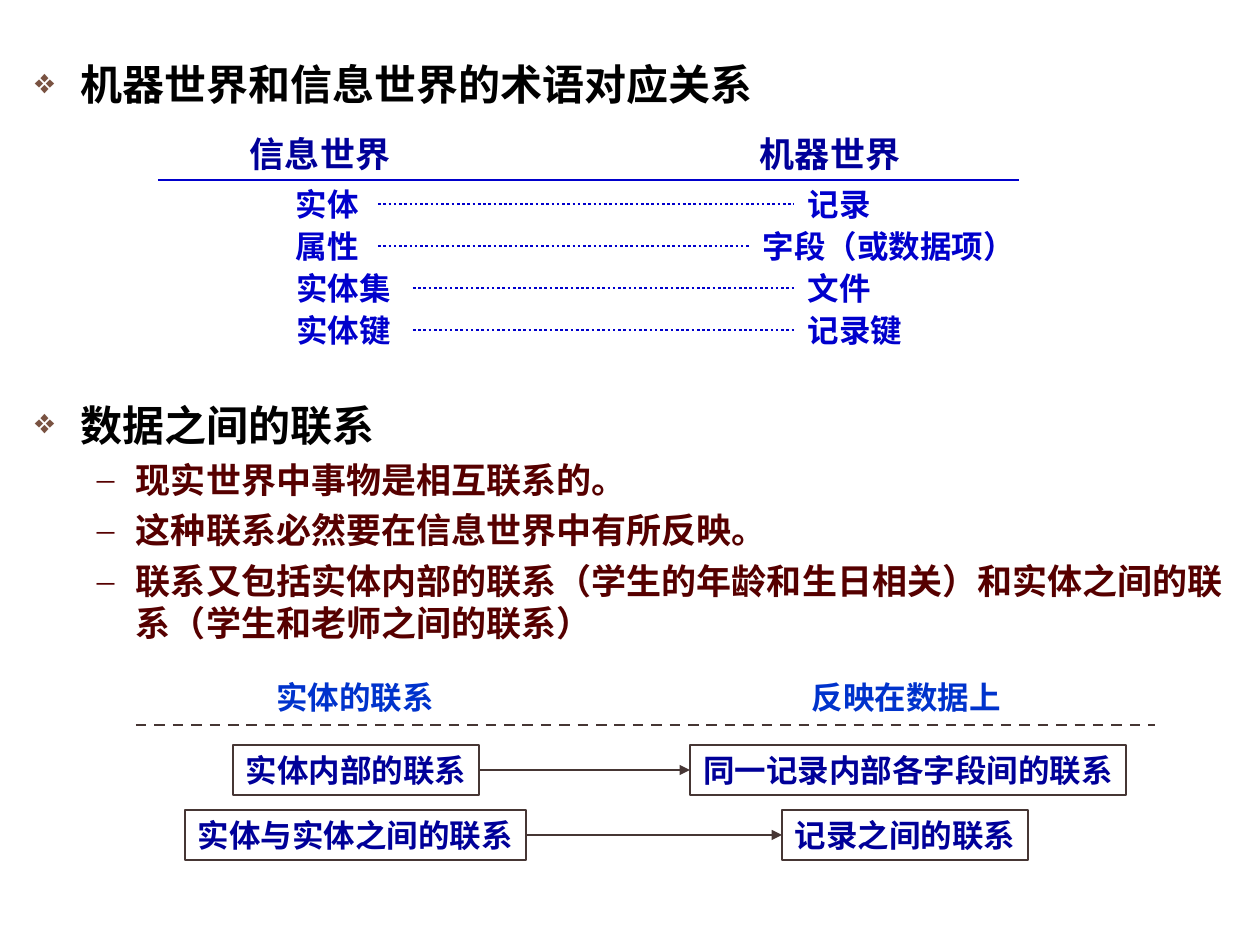
import lxml.etree
import pptx
import pptx.dml.color
import pptx.enum.dml
import pptx.enum.shapes
import pptx.enum.text
import pptx.oxml.ns
import pptx.util

RGB = pptx.dml.color.RGBColor
BLACK = RGB(0x00, 0x00, 0x00)
MAROON = RGB(0x56, 0x00, 0x00)
BROWN = RGB(0x79, 0x52, 0x41)
NAVY = RGB(0x00, 0x00, 0x99)
BLUE = RGB(0x00, 0x00, 0xCC)
AZURE = RGB(0x00, 0x33, 0xCC)
GREY = RGB(0x46, 0x36, 0x34)
DASH = pptx.enum.dml.MSO_LINE
RIGHT, LEFT = 3, 1
PX_PER_INCH = 126
PX_PER_PT = PX_PER_INCH / 72

# size, colour, bullet, bullet percent, bullet colour, left margin, hanging indent, space before
HEADING = (24, BLACK, "❖", 65, BROWN, 47, 47, 6)
POINT = (20, MAROON, "–", 100, MAROON, 102, 39, 5)


def px(n):
    return pptx.util.Emu(round(n * 914400 / PX_PER_INCH))


def add_xml(parent, tag, **attrs):
    return lxml.etree.SubElement(parent, pptx.oxml.ns.qn(tag), attrs)


class SlideBuilder:
    font = "Times New Roman"
    pad_x, pad_y = 13, 6
    pad_right = 2  # narrower than the left, so a label never wraps

    def __init__(self, prs):
        self.s = prs.slides.add_slide(prs.slide_layouts[6])

    def frame(self, sp, wrap, pad_right):
        tf = sp.text_frame
        values = {
            "margin_left": px(self.pad_x), "margin_right": px(pad_right),
            "margin_top": px(self.pad_y), "margin_bottom": px(self.pad_y),
            "word_wrap": wrap, "vertical_anchor": pptx.enum.text.MSO_ANCHOR.TOP,
            "auto_size": pptx.enum.text.MSO_AUTO_SIZE.NONE,
        }
        for name, value in values.items():
            setattr(tf, name, value)
        return tf

    def run(self, p, text, size, colour):
        r = p.add_run()
        r.text = text
        values = {"name": self.font, "size": pptx.util.Pt(size), "bold": True}
        for name, value in values.items():
            setattr(r.font, name, value)
        r.font.color.rgb = colour

    def bullets(self, x, y, w, h, items):
        sp = self.s.shapes.add_textbox(px(x), px(y), px(w), px(h))
        tf = self.frame(sp, True, self.pad_x)
        for i, (text, style) in enumerate(items):
            size, colour, char, percent, char_colour, margin, hang, before = style
            p = tf.paragraphs[0] if i == 0 else tf.add_paragraph()
            if i:
                p.space_before = pptx.util.Pt(before)
            pPr = p._p.get_or_add_pPr()
            pPr.set("marL", str(px(margin)))
            pPr.set("indent", str(-px(hang)))
            add_xml(add_xml(pPr, "a:buClr"), "a:srgbClr", val=str(char_colour))
            add_xml(pPr, "a:buSzPct", val=str(percent * 1000))
            add_xml(pPr, "a:buFont", typeface=self.font)
            add_xml(pPr, "a:buChar", char=char)
            self.run(p, text, size, colour)

    def label(self, x, y, text, size, colour, boxed=False):
        """One line of text in a box as wide as its full-width characters."""
        w = round(2 * self.pad_x + len(text) * size * PX_PER_PT)
        h = round(2 * self.pad_y + 1.2 * size * PX_PER_PT)
        place = (px(x), px(y), px(w), px(h))
        if boxed:
            sp = self.s.shapes.add_shape(pptx.enum.shapes.MSO_SHAPE.RECTANGLE, *place)
            sp.shadow.inherit = False
            sp.fill.background()
            sp.line.color.rgb = GREY
            sp.line.width = pptx.util.Pt(0.75)
        else:
            sp = self.s.shapes.add_textbox(*place)
        p = self.frame(sp, False, self.pad_right).paragraphs[0]
        p.alignment = pptx.enum.text.PP_ALIGN.LEFT
        self.run(p, text, size, colour)
        return sp

    def line(self, x1, y1, x2, y2, colour, width=1.5, dash=None):
        c = self.s.shapes.add_connector(
            pptx.enum.shapes.MSO_CONNECTOR.STRAIGHT, px(x1), px(y1), px(x2), px(y2))
        c.line.color.rgb = colour
        c.line.width = pptx.util.Pt(width)
        if dash:
            c.line.dash_style = dash
        add_xml(c._element.spPr, "a:effectLst")
        return c

    def arrow(self, start, end):
        c = self.line(0, 0, 0, 0, GREY, 0.75)
        c.begin_connect(start, RIGHT)
        c.end_connect(end, LEFT)
        add_xml(c.line._get_or_add_ln(), "a:tailEnd", type="triangle")


def main():
    prs = pptx.Presentation()
    prs.slide_width, prs.slide_height = px(1260), px(945)
    b = SlideBuilder(prs)

    b.bullets(21, 53, 1218, 62, [("机器世界和信息世界的术语对应关系", HEADING)])
    b.bullets(21, 393, 1218, 260, [
        ("数据之间的联系", HEADING),
        ("现实世界中事物是相互联系的。", POINT),
        ("这种联系必然要在信息世界中有所反映。", POINT),
        ("联系又包括实体内部的联系（学生的年龄和生日相关）"
         "和实体之间的联系（学生和老师之间的联系）", POINT),
    ])

    # Terms of the two worlds
    b.label(237, 126, "信息世界", 20, NAVY)
    b.label(747, 126, "机器世界", 20, NAVY)
    b.line(158, 180, 1019, 180, BLUE)
    terms = [
        ("实体", 378, 795, "记录"),
        ("属性", 378, 750, "字段（或数据项）"),
        ("实体集", 413, 795, "文件"),
        ("实体键", 413, 795, "记录键"),
    ]
    for i, (info, dots_x, machine_x, machine) in enumerate(terms):
        y = 179 + 42 * i
        b.label(283, y, info, 18, BLUE)
        b.label(machine_x, y, machine, 18, BLUE)
        b.line(dots_x, y + 25, machine_x - 1, y + 25, BLUE, dash=DASH.ROUND_DOT)

    # Relations and how data shows them
    b.label(263, 672, "实体的联系", 18, AZURE)
    b.label(799, 672, "反映在数据上", 18, AZURE)
    b.line(136, 725, 1155, 725, GREY, dash=DASH.DASH)
    relations = [
        (745, 233, "实体内部的联系", 690, "同一记录内部各字段间的联系"),
        (810, 185, "实体与实体之间的联系", 782, "记录之间的联系"),
    ]
    for y, entity_x, entity, data_x, data in relations:
        b.arrow(b.label(entity_x, y, entity, 18, NAVY, boxed=True),
                b.label(data_x, y, data, 18, NAVY, boxed=True))

    prs.save("out.pptx")


if __name__ == "__main__":
    main()
